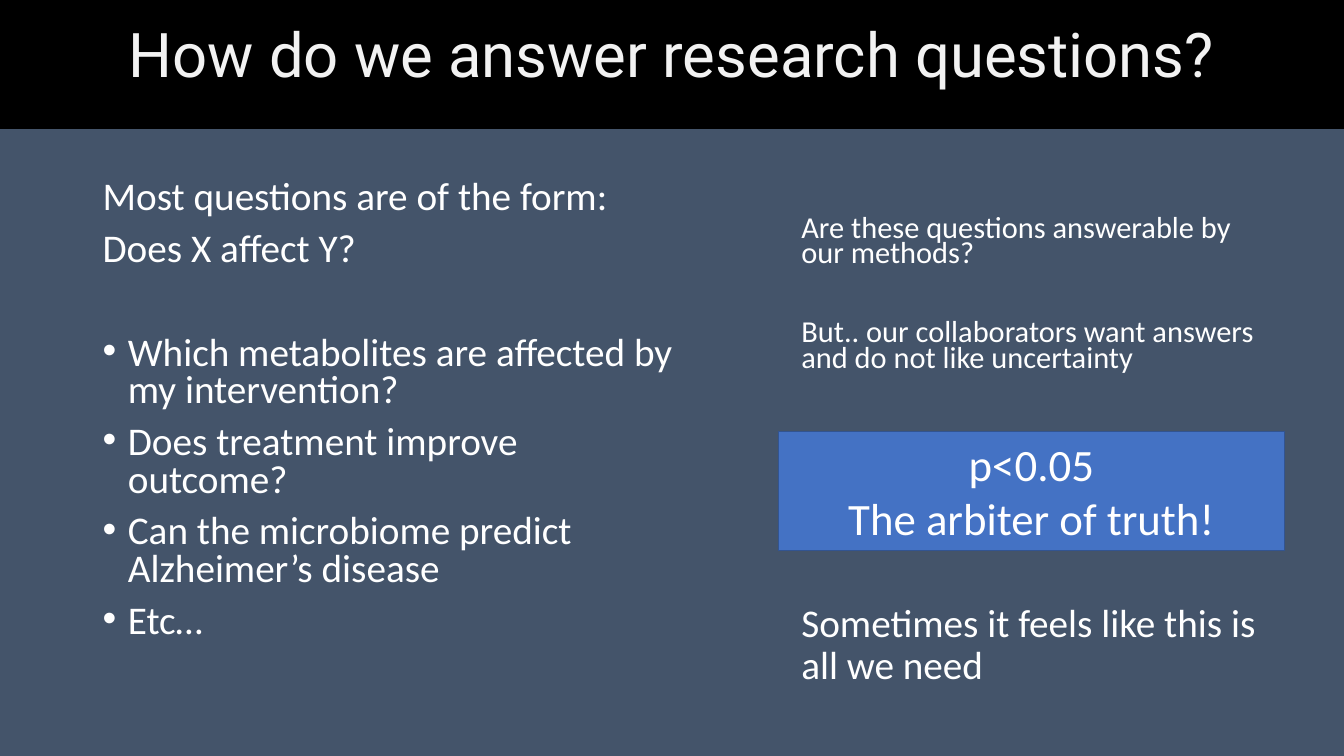
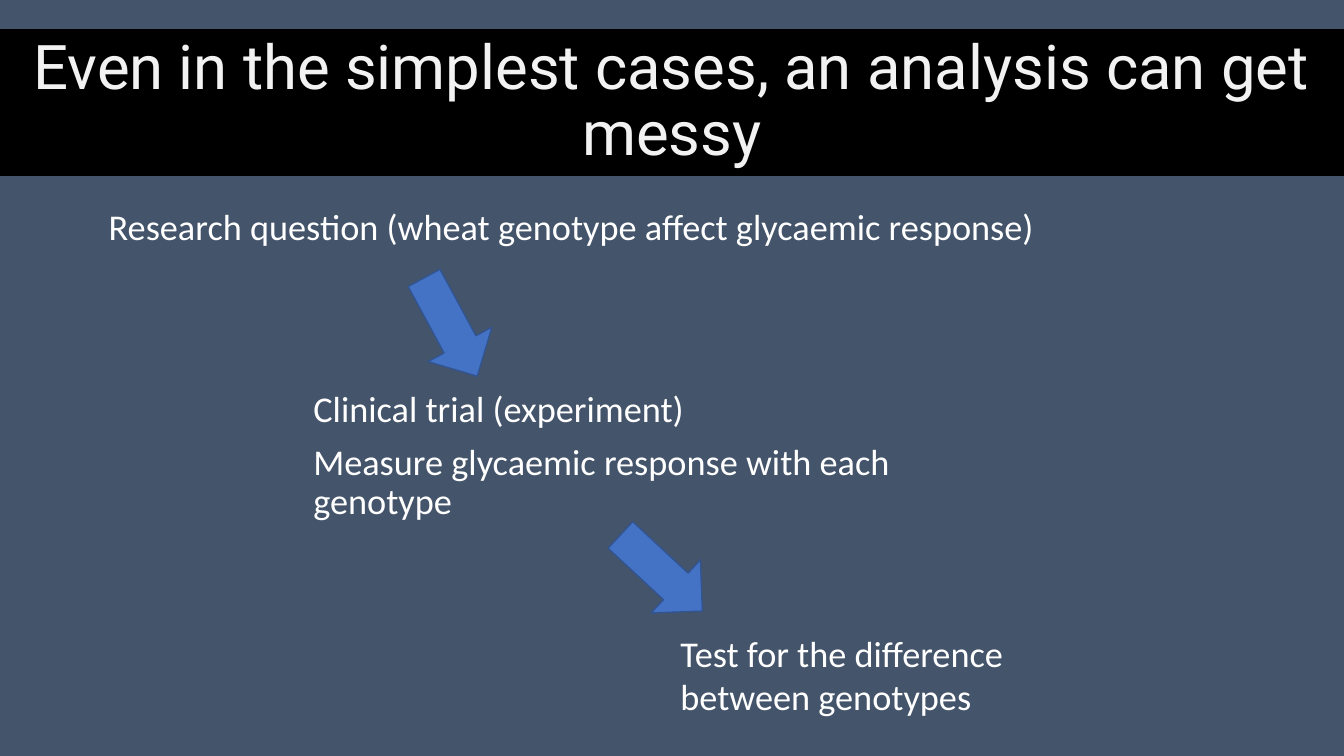
from lxml.etree import SubElement
from pptx import Presentation
from pptx.dml.color import RGBColor
from pptx.enum.shapes import MSO_SHAPE
from pptx.enum.text import MSO_ANCHOR, PP_ALIGN
from pptx.oxml.ns import qn
from pptx.util import Inches, Pt

SLIDE_WIDTH, SLIDE_HEIGHT = 13.33, 7.5
BACKGROUND, BAND, TITLE_TEXT, BODY_TEXT = "44546A", "000000", "F2F2F2", "FFFFFF"
ACCENT, ACCENT_LINE = "4472C4", "325491"

TITLE_STYLE = dict(size=44, font="Roboto", color=TITLE_TEXT, align=PP_ALIGN.CENTER, spacing=0.9)
CALLOUT_STYLE = dict(size=32, align=PP_ALIGN.CENTER)
ARROW_SIZE = (0.72, 1.11)

# A paragraph is its text with the format values that differ from its block.
BULLET = dict(bullet=True)
SLIDES = [
    dict(
        title="How do we answer research questions?",
        band=(-0.14, 1.42),
        texts=[
            ((0.92, 1.74, 5.89, 4.76), dict(size=28, spacing=0.8, before=10), [
                ("Most questions are of the form:", {}),
                ("Does X affect Y?", {}),
                ("Which metabolites are affected by my intervention?", dict(bullet=True, before=47.3)),
                ("Does treatment improve outcome?", BULLET),
                ("Can the microbiome predict Alzheimer’s disease", BULLET),
                ("Etc…", BULLET),
            ]),
            ((7.85, 2.11, 4.77, 1.73), dict(size=21.7, spacing=0.7, before=10), [
                ("Are these questions answerable by our methods?", {}),
                ("But.. our collaborators want answers and do not like uncertainty", dict(before=38.5)),
            ]),
            ((7.85, 5.94, 4.77, 0.97), dict(size=28, spacing=0.9, before=10), [
                ("Sometimes it feels like this is all we need", {}),
            ]),
        ],
        callouts=[((7.72, 4.28, 5.02, 1.18), ["p<0.05", "The arbiter of truth!"])],
        arrows=[],
    ),
    dict(
        title="Even in the simplest cases, an analysis can get messy",
        band=(0.29, 1.45),
        texts=[
            ((0.98, 2.03, 9.8, 0.63), dict(size=25.9, spacing=0.9, before=10), [
                ("Research question (wheat genotype affect glycaemic response)", {}),
            ]),
            ((3.01, 3.83, 6.93, 1.53), dict(size=25.9, spacing=0.9, before=10), [
                ("Clinical trial (experiment)", {}),
                ("Measure glycaemic response with each genotype", {}),
            ]),
            ((6.65, 6.21, 4.13, 0.97), dict(size=25.9, before=10), [
                ("Test for the difference between genotypes", {}),
            ]),
        ],
        callouts=[],
        arrows=[(4.11, 2.69, 331.6), (6.2, 5.13, 312.9)],
    ),
]


def rgb(color):
    return RGBColor.from_string(color)


def add_bullet(paragraph):
    properties = paragraph._p.get_or_add_pPr()
    properties.set("marL", str(Inches(0.25)))
    properties.set("indent", str(-Inches(0.25)))
    SubElement(properties, qn("a:buFont")).set("typeface", "Arial")
    SubElement(properties, qn("a:buChar")).set("char", "•")


def write_text(shape, paragraphs, style, anchor=MSO_ANCHOR.TOP):
    frame = shape.text_frame
    frame.word_wrap = True
    frame.vertical_anchor = anchor
    for index, (text, changes) in enumerate(paragraphs):
        paragraph = frame.add_paragraph() if index else frame.paragraphs[0]
        values = {**style, **changes}
        run = paragraph.add_run()
        run.text = text
        run.font.size = Pt(values["size"])
        run.font.name = values.get("font", "Calibri")
        run.font.color.rgb = rgb(values.get("color", BODY_TEXT))
        formats = dict(
            alignment=values.get("align", PP_ALIGN.LEFT),
            line_spacing=values.get("spacing", 1.0),
            space_before=Pt(values.get("before", 0)),
        )
        for name, value in formats.items():
            setattr(paragraph, name, value)
        if values.get("bullet"):
            add_bullet(paragraph)


def add_filled_shape(slide, kind, place, fill=ACCENT, line=ACCENT_LINE, line_width=1):
    shape = slide.shapes.add_shape(kind, *map(Inches, place))
    shape.shadow.inherit = False
    shape.fill.solid()
    shape.fill.fore_color.rgb = rgb(fill)
    shape.line.color.rgb = rgb(line)
    shape.line.width = Pt(line_width)
    return shape


def add_title(slide, title, top, height):
    band = add_filled_shape(slide, MSO_SHAPE.RECTANGLE, (0, top, SLIDE_WIDTH, height), BAND, BAND, 0.75)
    write_text(band, [(title, {})], TITLE_STYLE, MSO_ANCHOR.MIDDLE)


def build_slide(presentation, content):
    slide = presentation.slides.add_slide(presentation.slide_layouts[6])
    slide.background.fill.solid()
    slide.background.fill.fore_color.rgb = rgb(BACKGROUND)
    add_title(slide, content["title"], *content["band"])
    for place, style, paragraphs in content["texts"]:
        write_text(slide.shapes.add_textbox(*map(Inches, place)), paragraphs, style)
    for place, lines in content["callouts"]:
        callout = add_filled_shape(slide, MSO_SHAPE.RECTANGLE, place)
        write_text(callout, [(line, {}) for line in lines], CALLOUT_STYLE, MSO_ANCHOR.MIDDLE)
    for left, top, rotation in content["arrows"]:
        arrow = add_filled_shape(slide, MSO_SHAPE.DOWN_ARROW, (left, top, *ARROW_SIZE))
        arrow.rotation = rotation


def main():
    presentation = Presentation()
    presentation.slide_width = Inches(SLIDE_WIDTH)
    presentation.slide_height = Inches(SLIDE_HEIGHT)
    for content in SLIDES:
        build_slide(presentation, content)
    presentation.save("out.pptx")


if __name__ == "__main__":
    main()
